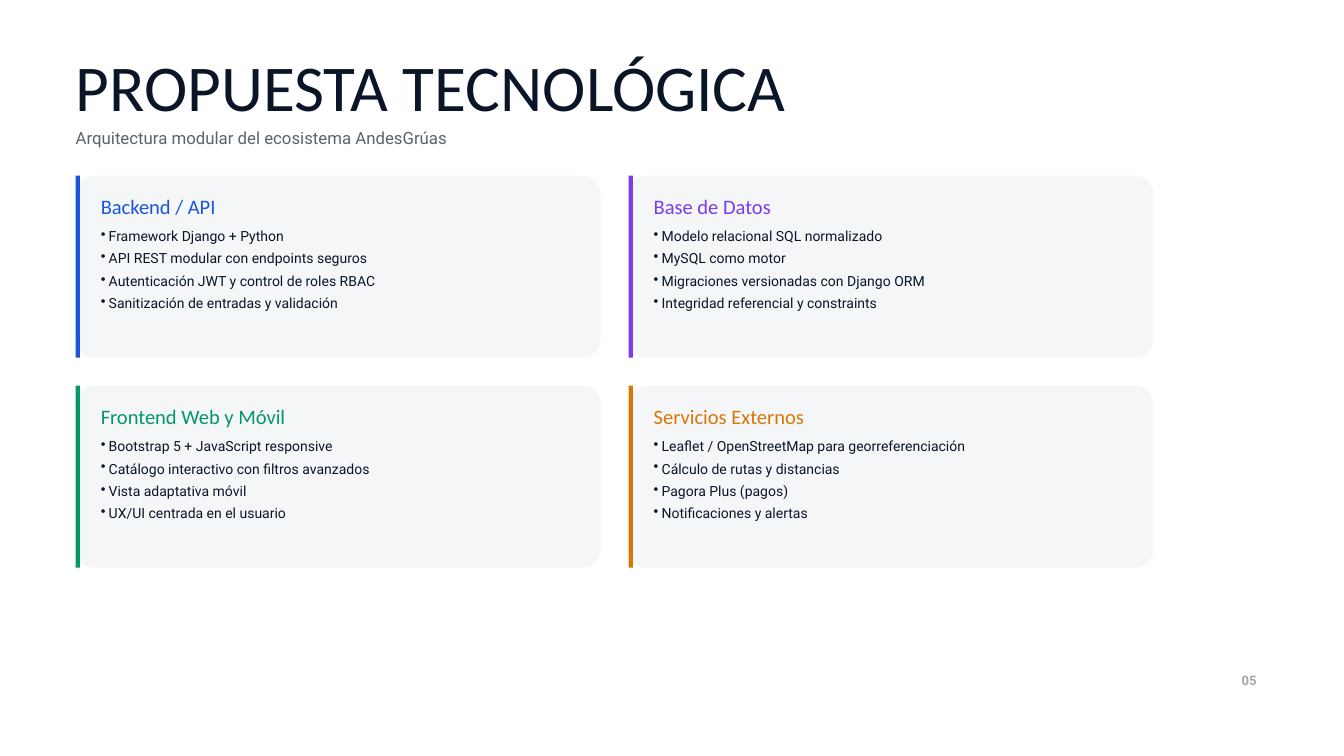
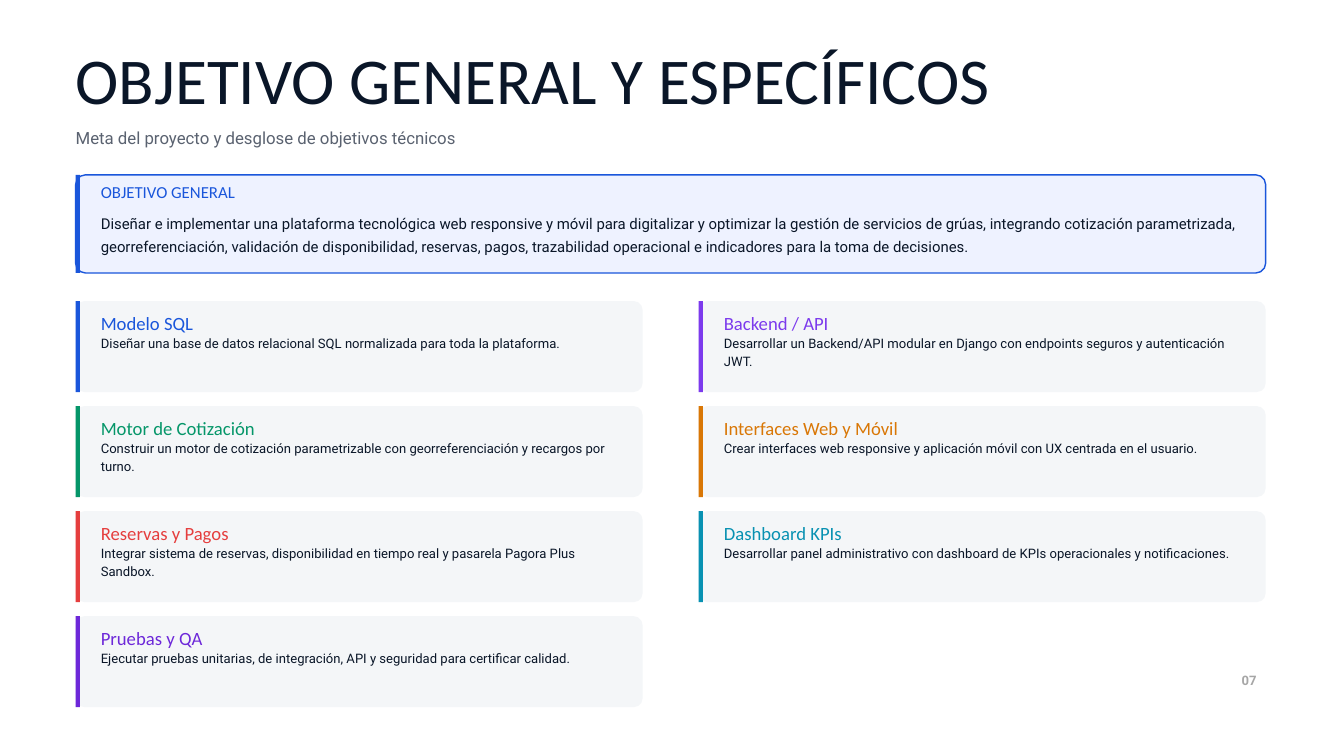
from dataclasses import dataclass
from typing import NamedTuple

from lxml import etree
from pptx import Presentation
from pptx import util as u
from pptx.dml.color import RGBColor
from pptx.enum import shapes, text
from pptx.oxml import ns

Cm, Pt = u.Cm, u.Pt


class Box(NamedTuple):
    """Left, top, width and height in centimetres."""
    x: float
    y: float
    w: float
    h: float

    def emu(self):
        return [Cm(v) for v in self]


class Style(NamedTuple):
    font: str
    size: float
    leading: float
    color: str = "0A1628"
    bold: bool = False


class CardSpec(NamedTuple):
    """Text styles, offsets from the card top and corner radius."""
    heading: Style
    heading_dy: float
    body: Style
    body_dy: float
    radius: float
    bullets: bool = False


@dataclass(frozen=True)
class Theme:
    head_font: str = "Calibri"
    body_font: str = "Roboto"
    card: str = "F4F6F8"
    panel: str = "EEF2FF"
    blue: str = "1A56DB"
    purple: str = "7C3AED"
    green: str = "059669"
    orange: str = "D97706"
    red: str = "E53E3E"
    cyan: str = "0891B2"
    violet: str = "6D28D9"
    title: Style = Style(head_font, 70, 98)
    tight_title: Style = Style(head_font, 70, 70)
    subtitle: Style = Style(body_font, 18, 25.2, "5A6270")
    number: Style = Style(body_font, 14, 19.6, "A6A6A6", True)
    module: CardSpec = CardSpec(Style(head_font, 22, 30.8), 0.53,
                                Style(body_font, 15, 24), 1.75, 0.7, True)
    goal: CardSpec = CardSpec(Style(head_font, 20, 24), 0.4,
                              Style(body_font, 14, 19.6), 1.2, 0.34)
    main_goal: CardSpec = CardSpec(Style(head_font, 18, 21.6), 0.27,
                                   Style(body_font, 16, 24), 1.35, 0.37)


T = Theme()
LEFT = 2.86
FULL_W = 44.98
BAR_W = 0.16
TEXT_INSET = 0.95
TEXT_MARGINS = 1.59
BULLET_INDENT = 0.3

MODULES = [
    ("Backend / API", T.blue, [
        "Framework Django + Python",
        "API REST modular con endpoints seguros",
        "Autenticación JWT y control de roles RBAC",
        "Sanitización de entradas y validación"]),
    ("Base de Datos", T.purple, [
        "Modelo relacional SQL normalizado",
        "MySQL como motor",
        "Migraciones versionadas con Django ORM",
        "Integridad referencial y constraints"]),
    ("Frontend Web y Móvil", T.green, [
        "Bootstrap 5 + JavaScript responsive",
        "Catálogo interactivo con filtros avanzados",
        "Vista adaptativa móvil",
        "UX/UI centrada en el usuario"]),
    ("Servicios Externos", T.orange, [
        "Leaflet / OpenStreetMap para georreferenciación",
        "Cálculo de rutas y distancias",
        "Pagora Plus (pagos)",
        "Notificaciones y alertas"]),
]

MAIN_GOAL = (
    "Diseñar e implementar una plataforma tecnológica web responsive y móvil para "
    "digitalizar y optimizar la gestión de servicios de grúas, integrando cotización "
    "parametrizada, georreferenciación, validación de disponibilidad, reservas, pagos, "
    "trazabilidad operacional e indicadores para la toma de decisiones.")

GOALS = [
    ("Modelo SQL", T.blue,
     ["Diseñar una base de datos relacional SQL normalizada para toda la plataforma."]),
    ("Backend / API", T.purple,
     ["Desarrollar un Backend/API modular en Django con endpoints seguros y "
      "autenticación JWT."]),
    ("Motor de Cotización", T.green,
     ["Construir un motor de cotización parametrizable con georreferenciación y "
      "recargos por turno."]),
    ("Interfaces Web y Móvil", T.orange,
     ["Crear interfaces web responsive y aplicación móvil con UX centrada en el usuario."]),
    ("Reservas y Pagos", T.red,
     ["Integrar sistema de reservas, disponibilidad en tiempo real y pasarela "
      "Pagora Plus Sandbox."]),
    ("Dashboard KPIs", T.cyan,
     ["Desarrollar panel administrativo con dashboard de KPIs operacionales y "
      "notificaciones."]),
    ("Pruebas y QA", T.violet,
     ["Ejecutar pruebas unitarias, de integración, API y seguridad para certificar "
      "calidad."]),
]


def rgb(color):
    return RGBColor.from_string(color)


def add_bullet(p):
    ppr = p._p.get_or_add_pPr()
    ppr.set("marL", str(Cm(BULLET_INDENT)))
    ppr.set("indent", str(-Cm(BULLET_INDENT)))
    etree.SubElement(ppr, ns.qn("a:buChar")).set("char", "•")


def write(sp, lines, style, color=None, align=text.PP_ALIGN.LEFT, bullets=False):
    """Fill a text box or placeholder with one paragraph per line."""
    tf = sp.text_frame
    tf.word_wrap = True
    tf.auto_size = text.MSO_AUTO_SIZE.NONE
    tf.vertical_anchor = text.MSO_ANCHOR.TOP
    tf.margin_left = tf.margin_top = tf.margin_right = tf.margin_bottom = 0
    tf.text = "\n".join(lines)
    for p in tf.paragraphs:
        if bullets:
            add_bullet(p)
        p.alignment = align
        p.line_spacing = Pt(style.leading)
        for r in p.runs:
            r.font.name = style.font
            r.font.size = Pt(style.size)
            r.font.bold = style.bold
            r.font.color.rgb = rgb(color or style.color)


def add_text(slide, box, lines, style, **options):
    write(slide.shapes.add_textbox(*box.emu()), lines, style, **options)


def add_block(slide, kind, box, fill, line=None):
    sp = slide.shapes.add_shape(kind, *box.emu())
    sp.shadow.inherit = False
    sp.fill.solid()
    sp.fill.fore_color.rgb = rgb(fill)
    if line:
        sp.line.color.rgb = rgb(line)
        sp.line.width = Pt(1.5)
    else:
        sp.line.fill.background()
    return sp


def add_card(slide, box, spec, heading, accent, lines, fill=T.card, line=None):
    """Rounded card with an accent bar on its left edge, a heading and body text."""
    card = add_block(slide, shapes.MSO_SHAPE.ROUNDED_RECTANGLE, box, fill, line)
    card.adjustments[0] = spec.radius / min(box.w, box.h)
    add_block(slide, shapes.MSO_SHAPE.RECTANGLE, box._replace(w=BAR_W), accent)
    x, w = box.x + TEXT_INSET, box.w - TEXT_MARGINS
    heading_h = spec.body_dy - spec.heading_dy
    add_text(slide, Box(x, box.y + spec.heading_dy, w, heading_h),
             [heading], spec.heading, color=accent)
    add_text(slide, Box(x, box.y + spec.body_dy, w, box.h - spec.body_dy),
             lines, spec.body, bullets=spec.bullets)


def add_card_grid(slide, first, gap_x, gap_y, spec, cards):
    """Two columns of cards, filled row by row from the first card's box."""
    for i, card in enumerate(cards):
        row, col = divmod(i, 2)
        box = first._replace(x=first.x + col * (first.w + gap_x),
                             y=first.y + row * (first.h + gap_y))
        add_card(slide, box, spec, *card)


def new_slide(prs, title, title_box, title_style, subtitle, number):
    slide = prs.slides.add_slide(prs.slide_layouts.get_by_name("Title Only"))
    sp = slide.shapes.title
    sp.left, sp.top, sp.width, sp.height = title_box.emu()
    write(sp, [title], title_style)
    add_text(slide, Box(LEFT, 4.7, 23.82, 0.86), [subtitle], T.subtitle)
    add_text(slide, Box(46.18, 25.32, 1.32, 0.66), [number], T.number,
             align=text.PP_ALIGN.RIGHT)
    return slide


def proposal_slide(prs):
    slide = new_slide(prs, "PROPUESTA TECNOLÓGICA", Box(LEFT, 1.24, 31.75, 3.3), T.title,
                      "Arquitectura modular del ecosistema AndesGrúas", "05")
    add_card_grid(slide, Box(LEFT, 6.64, 19.84, 6.88), 1.06, 1.06, T.module, MODULES)


def goals_slide(prs):
    slide = new_slide(prs, "OBJETIVO GENERAL Y ESPECÍFICOS", Box(LEFT, 1.98, FULL_W, 2.57),
                      T.tight_title, "Meta del proyecto y desglose de objetivos técnicos",
                      "07")
    add_card(slide, Box(LEFT, 6.61, FULL_W, 3.71), T.main_goal, "OBJETIVO GENERAL",
             T.blue, [MAIN_GOAL], fill=T.panel, line=T.blue)
    add_card_grid(slide, Box(LEFT, 11.38, 21.43, 3.44), 2.12, 0.53, T.goal, GOALS)


def main():
    prs = Presentation()
    prs.slide_width, prs.slide_height = Cm(50.8), Cm(28.575)
    proposal_slide(prs)
    goals_slide(prs)
    prs.save("out.pptx")


if __name__ == "__main__":
    main()
